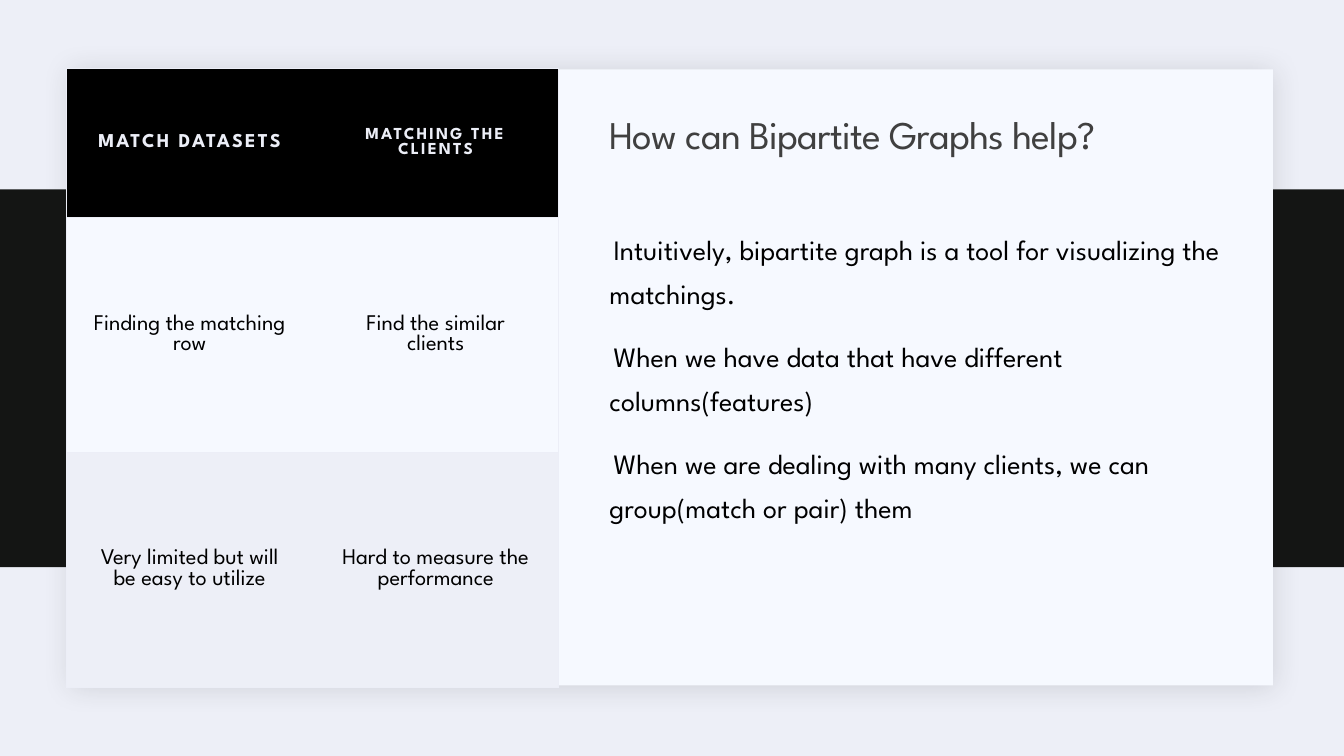
from dataclasses import dataclass

from pptx import Presentation
from pptx import util as u
from pptx.dml.color import RGBColor
from pptx.enum import shapes, text
from pptx.oxml import parse_xml
from pptx.oxml.ns import nsdecls, qn


@dataclass(frozen=True)
class Theme:
    font: str = "League Spartan"
    back: str = "EDEFF7"
    band: str = "141514"
    panel: str = "F6F9FF"
    edge: str = "ECEEF7"
    shadow: str = "1F2125"
    title: str = "404040"
    ink: str = "000000"
    title_size: float = 28
    body_size: float = 20
    cell_size: float = 16
    head_sizes: tuple = (14, 12)


def write(p, words, *, font, size, color, bold=False, spacing=0, align=None):
    p.alignment = align
    r = p.add_run()
    r.text = words
    r.font.name = font
    r.font.size = u.Pt(size)
    r.font.bold = bold
    r.font.color.rgb = RGBColor.from_string(color)
    if spacing:
        r.font._element.set("spc", str(int(spacing * 100)))


class Deck:
    def __init__(self, theme):
        self.theme = theme
        self.prs = Presentation()
        self.prs.slide_width, self.prs.slide_height = u.Cm(33.87), u.Cm(19.05)
        self.s = self.prs.slides.add_slide(self.prs.slide_layouts[6])
        fill = self.s.background.fill
        fill.solid()
        fill.fore_color.rgb = RGBColor.from_string(theme.back)

    def rect(self, x, y, w, h, color, shadow=False):
        sp = self.s.shapes.add_shape(
            shapes.MSO_SHAPE.RECTANGLE, u.Cm(x), u.Cm(y), u.Cm(w), u.Cm(h))
        sp.shadow.inherit = False
        sp.fill.solid()
        sp.fill.fore_color.rgb = RGBColor.from_string(color)
        sp.line.fill.background()
        if shadow:
            effects = sp._element.spPr.find(qn("a:effectLst"))
            effects.append(parse_xml(
                f'<a:outerShdw {nsdecls("a")} blurRad="{u.Pt(20)}" dist="{u.Pt(2)}" '
                f'dir="2700000" rotWithShape="0"><a:srgbClr val="{self.theme.shadow}">'
                '<a:alpha val="15000"/></a:srgbClr></a:outerShdw>'))

    def box(self, x, y, w, h, anchor):
        sp = self.s.shapes.add_textbox(u.Cm(x), u.Cm(y), u.Cm(w), u.Cm(h))
        tf = sp.text_frame
        tf.word_wrap = True
        tf.vertical_anchor = anchor
        return tf

    def title(self, x, y, w, h, words):
        p = self.box(x, y, w, h, text.MSO_ANCHOR.MIDDLE).paragraphs[0]
        p.line_spacing = 0.9
        write(p, words, font=self.theme.font, size=self.theme.title_size,
              color=self.theme.title, spacing=-0.5)

    def body(self, x, y, w, h, points):
        tf = self.box(x, y, w, h, text.MSO_ANCHOR.TOP)
        tf.margin_left = tf.margin_right = 0
        for i, words in enumerate(points):
            p = tf.add_paragraph() if i else tf.paragraphs[0]
            pPr = p._p.get_or_add_pPr()
            pPr.set("marL", str(u.Cm(0.25)))
            pPr.set("indent", str(-u.Cm(0.25)))
            pPr.append(parse_xml(f'<a:buChar {nsdecls("a")} char=" "/>'))
            p.line_spacing = 1.3
            p.space_before = u.Pt(12 if i else 0)
            p.space_after = u.Pt(2)
            write(p, words, font=self.theme.font, size=self.theme.body_size,
                  color=self.theme.ink)

    def borders(self, cell, visible):
        tcPr = cell._tc.get_or_add_tcPr()
        for i, side in enumerate("LRTB"):
            paint = (f'<a:solidFill><a:srgbClr val="{self.theme.edge}"/></a:solidFill>'
                     if side in visible else "<a:noFill/>")
            tcPr.insert(i, parse_xml(
                f'<a:ln{side} {nsdecls("a")} w="{u.Pt(1)}">{paint}</a:ln{side}>'))

    def table(self, x, y, col_width, heights, rows):
        th = self.theme
        fills = (th.ink, th.panel, th.back)
        tbl = self.s.shapes.add_table(
            len(rows), len(rows[0]), u.Cm(x), u.Cm(y),
            u.Cm(col_width * len(rows[0])), u.Cm(sum(heights))).table
        for col in tbl.columns:
            col.width = u.Cm(col_width)
        for i, row in enumerate(rows):
            tbl.rows[i].height = u.Cm(heights[i])
            for j, words in enumerate(row):
                cell = tbl.cell(i, j)
                cell.fill.solid()
                cell.fill.fore_color.rgb = RGBColor.from_string(fills[i])
                cell.vertical_anchor = text.MSO_ANCHOR.MIDDLE
                cell.margin_left = cell.margin_right = u.Cm(0.64)
                cell.margin_top = cell.margin_bottom = u.Cm(0.64)
                self.borders(cell, "TB" + "LR"[j])
                head = i == 0
                write(cell.text_frame.paragraphs[0], words, font=th.font,
                      size=th.head_sizes[j] if head else th.cell_size,
                      color=th.edge if head else th.ink, bold=head,
                      spacing=1.5 if head else 0, align=text.PP_ALIGN.CENTER)


def main():
    theme = Theme()
    deck = Deck(theme)
    deck.rect(0, 4.77, 33.87, 9.52, theme.band)
    deck.rect(1.75, 1.75, 30.33, 15.52, theme.panel, shadow=True)
    deck.title(15.11, 2.62, 15.88, 1.63, "How can Bipartite Graphs help?")
    deck.body(15.11, 5.49, 15.88, 10.95, [
        "Intuitively, bipartite graph is a tool for visualizing the matchings.",
        "When we have data that have different columns(features)",
        "When we are dealing with many clients, we can group(match or pair) them",
    ])
    deck.table(1.68, 1.73, 6.2, (3.75, 5.92, 5.92), [
        ("MATCH DATASETS", "MATCHING THE CLIENTS"),
        ("Finding the matching row", "Find the similar clients"),
        ("Very limited but will be easy to utilize", "Hard to measure the performance"),
    ])
    deck.prs.save("out.pptx")


if __name__ == "__main__":
    main()
